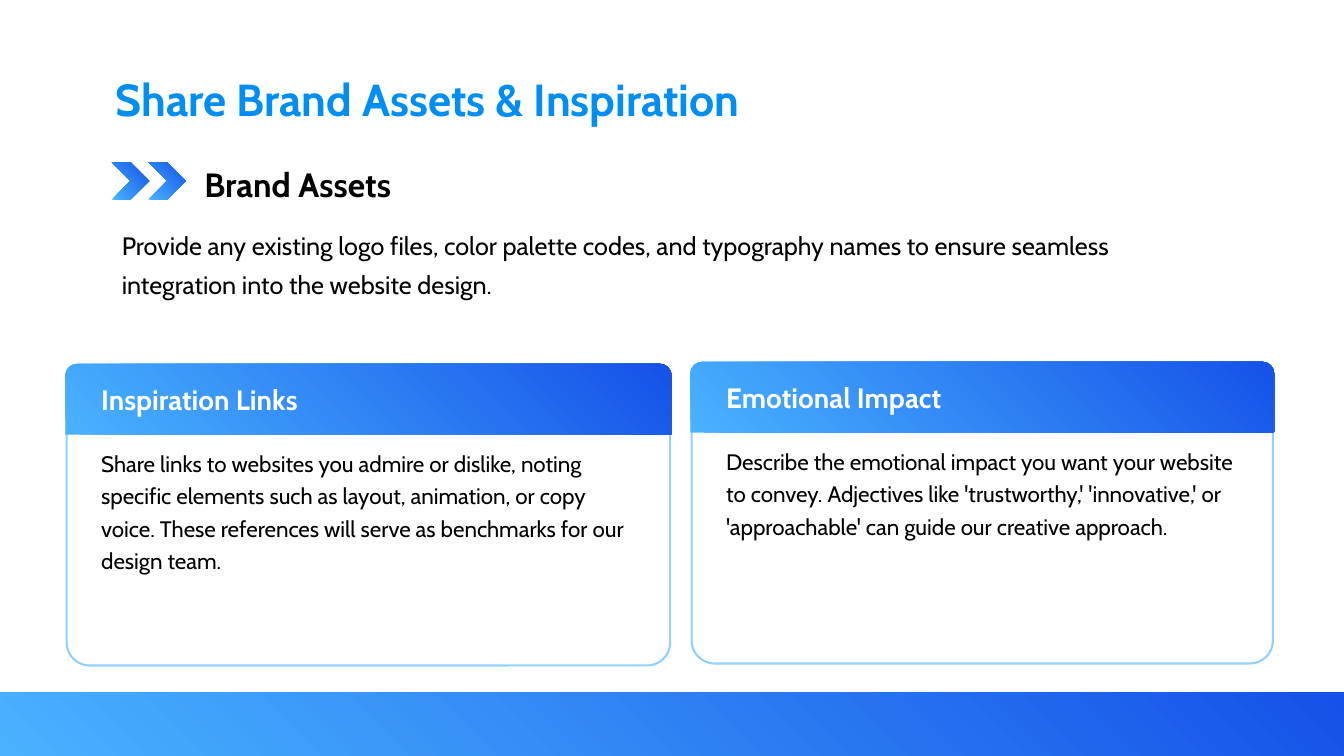
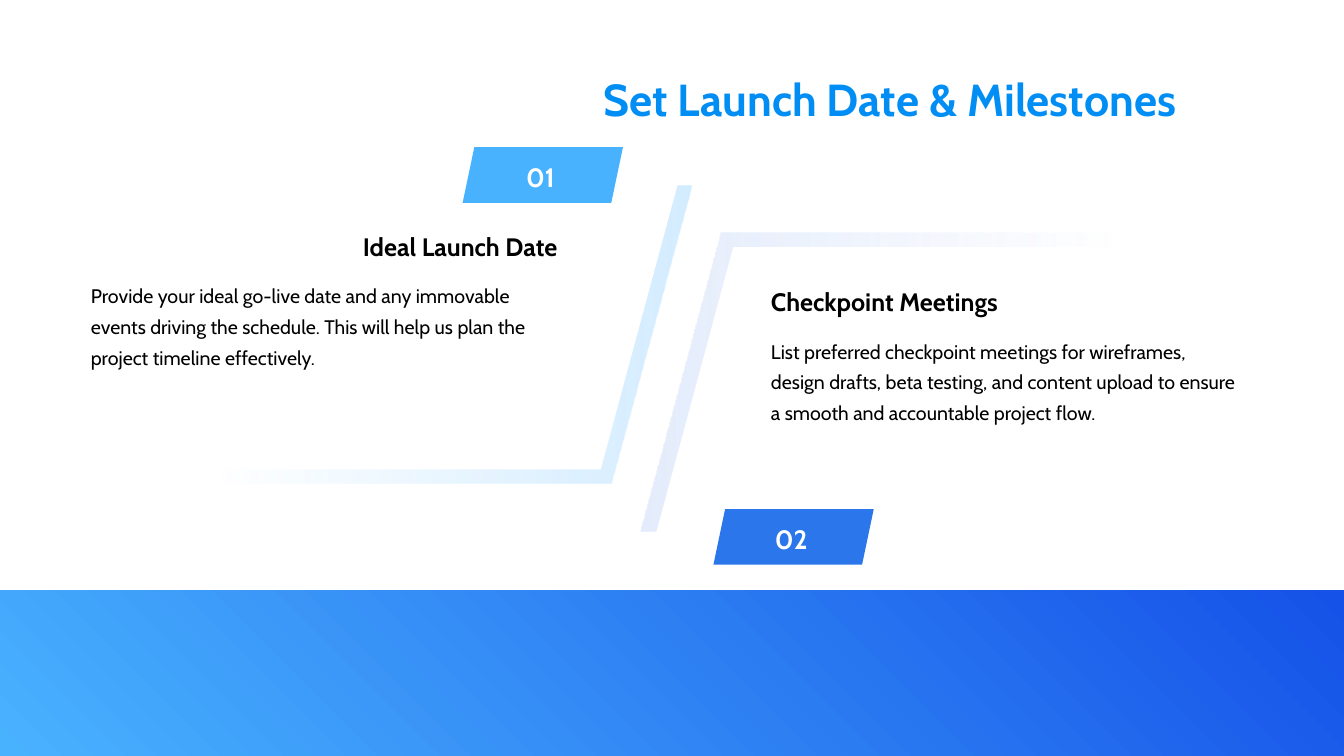
from lxml import etree
from pptx import Presentation
from pptx.dml.color import RGBColor
from pptx.enum.shapes import MSO_SHAPE
from pptx.enum.text import MSO_ANCHOR, MSO_AUTO_SIZE, PP_ALIGN
from pptx.oxml.ns import qn
from pptx.util import Cm, Pt

RECTANGLE, CHEVRON = MSO_SHAPE.RECTANGLE, MSO_SHAPE.CHEVRON
ROUNDED, TOP_ROUNDED = MSO_SHAPE.ROUNDED_RECTANGLE, MSO_SHAPE.ROUND_2_SAME_RECTANGLE
PARALLELOGRAM = MSO_SHAPE.PARALLELOGRAM
LEFT, RIGHT, CENTER, JUSTIFY = PP_ALIGN.LEFT, PP_ALIGN.RIGHT, PP_ALIGN.CENTER, PP_ALIGN.JUSTIFY
TOP, MIDDLE = MSO_ANCHOR.TOP, MSO_ANCHOR.MIDDLE

FONT = "Cabin"
WHITE = RGBColor(0xFF, 0xFF, 0xFF)
BLACK = RGBColor(0x00, 0x00, 0x00)
TITLE_BLUE = RGBColor(0x01, 0x8E, 0xF4)
SKY = RGBColor(0x49, 0xB2, 0xFE)
ROYAL = RGBColor(0x15, 0x52, 0xE8)
MID_BLUE = RGBColor(0x2A, 0x76, 0xEA)
PALE_SKY = RGBColor(0x92, 0xD1, 0xFE)
PALE_ROYAL = RGBColor(0xBC, 0xD0, 0xF7)

# Centimetres
SLIDE_WIDTH, SLIDE_HEIGHT = 33.87, 19.05
DEFAULT_INSETS = (0.25, 0.13, 0.25, 0.13)
NO_INSETS = (0, 0, 0, 0)


# Shared building blocks; every box is (left, top, width, height) in cm
def place(shape, box):
    shape.left, shape.top, shape.width, shape.height = map(Cm, box)


def write(shape, text, size, color=BLACK, bold=False, align=LEFT, spacing=1.0,
          insets=DEFAULT_INSETS, anchor=TOP):
    frame = shape.text_frame
    frame.word_wrap = True
    frame.auto_size = MSO_AUTO_SIZE.NONE
    frame.vertical_anchor = anchor
    (frame.margin_left, frame.margin_top,
     frame.margin_right, frame.margin_bottom) = map(Cm, insets)
    paragraph = frame.paragraphs[0]
    paragraph.alignment = align
    paragraph.line_spacing = spacing
    run = paragraph.add_run()
    run.text = text
    run.font.name = FONT
    run.font.size = Pt(size)
    run.font.bold = bold
    run.font.color.rgb = color


def add_text(slide, box, text, size, **style):
    write(slide.shapes.add_textbox(*map(Cm, box)), text, size, **style)


def add_figure(slide, kind, box, color=None, adjustment=None):
    shape = slide.shapes.add_shape(kind, *map(Cm, box))
    shape.shadow.inherit = False
    shape.line.fill.background()
    if color is not None:
        shape.fill.solid()
        shape.fill.fore_color.rgb = color
    if adjustment is not None:
        shape.adjustments[0] = adjustment
    return shape


def apply_gradient(shape, stops, angle):
    """Stops are (position, colour, opacity in percent)."""
    shape.fill.gradient()
    shape.fill.gradient_angle = angle
    for stop, (position, color, _) in zip(shape.fill.gradient_stops, stops):
        stop.position = position
        stop.color.rgb = color
    colors = shape._element.spPr.iter(qn("a:srgbClr"))
    for element, (_, _, opacity) in zip(colors, stops):
        if opacity < 100:
            etree.SubElement(element, qn("a:alpha"), val=str(opacity * 1000))


def add_blue_figure(slide, kind, box):
    shape = add_figure(slide, kind, box)
    apply_gradient(shape, [(0, SKY, 100), (1, ROYAL, 100)], 45)


def add_base_slide(presentation, title, band_height, align=LEFT):
    slide = presentation.slides.add_slide(presentation.slide_layouts[5])
    place(slide.shapes.title, (2.67, 1.68, 27.23, 1.63))
    write(slide.shapes.title, title, 32, color=TITLE_BLUE, bold=True, align=align)
    add_blue_figure(slide, RECTANGLE,
                    (0, SLIDE_HEIGHT - band_height, SLIDE_WIDTH, band_height))
    return slide


# Assets slide
def add_intro(slide, box, heading, body):
    left, top, width, height = box
    for index in range(2):
        add_blue_figure(slide, CHEVRON, (left + index * 0.92, top + 0.08, 0.94, 0.94))
    add_text(slide, (left + 2.08, top, width - 2.9, 1.02), heading, 24,
             bold=True, align=JUSTIFY)
    add_text(slide, (left, top + 1.43, width, height - 1.43), body, 18, spacing=1.3)


def add_card(slide, box, heading, body):
    left, top, width, height = box
    outline = add_figure(slide, ROUNDED,
                         (left + 0.03, top + 0.04, width - 0.06, height - 0.04),
                         WHITE, 0.077)
    outline.line.color.rgb = PALE_SKY
    outline.line.width = Pt(1.5)
    add_blue_figure(slide, TOP_ROUNDED, (left, top, width, 1.78))
    text_left, text_width = left + 0.65, width - 1.3
    add_text(slide, (text_left, top + 0.34, text_width, 0.86), heading, 20,
             color=WHITE, bold=True)
    add_text(slide, (text_left, top + 1.91, text_width, 3.25), body, 16, spacing=1.2)


def build_assets_slide(presentation):
    slide = add_base_slide(presentation, "Share Brand Assets & Inspiration", 1.6)
    add_intro(slide, (2.82, 4.01, 27.2, 3.41), "Brand Assets",
              "Provide any existing logo files, color palette codes, and typography "
              "names to ensure seamless integration into the website design.")
    add_card(slide, (1.65, 9.17, 15.27, 7.6), "Inspiration Links",
             "Share links to websites you admire or dislike, noting specific elements "
             "such as layout, animation, or copy voice. These references will serve as "
             "benchmarks for our design team.")
    add_card(slide, (17.4, 9.12, 14.71, 7.6), "Emotional Impact",
             "Describe the emotional impact you want your website to convey. "
             "Adjectives like 'trustworthy,' 'innovative,' or 'approachable' can "
             "guide our creative approach.")


# Milestones slide
def add_milestone(slide, box, number, heading, body, edge_color, tag_color, angle,
                  cover_offset, tag_offset, text_offset, heading_align):
    left, top, width, height = box

    # Fading edge: a gradient slab mostly hidden by a shifted white one
    slab = add_figure(slide, PARALLELOGRAM, box, adjustment=0.27)
    apply_gradient(slab, [(0.2, edge_color, 0), (1, edge_color, 40)], angle)
    add_figure(slide, PARALLELOGRAM,
               (left + cover_offset[0], top + cover_offset[1], width, height), WHITE, 0.27)

    # Number tag
    tag = add_figure(slide, PARALLELOGRAM,
                     (left + tag_offset[0], top + tag_offset[1], 4.04, 1.4),
                     tag_color, 0.21)
    write(tag, number, 19, color=WHITE, bold=True, align=CENTER,
          insets=(0.13, 0.25, 0.25, 0.13), anchor=MIDDLE)

    # Heading and body
    text_left, text_top = left + text_offset[0], top + text_offset[1]
    add_text(slide, (text_left, text_top, 11.76, 1.02), heading, 18, bold=True,
             align=heading_align, insets=NO_INSETS)
    add_text(slide, (text_left, text_top + 1.17, 11.76, 3.8), body, 14,
             spacing=1.3, insets=NO_INSETS)


def build_milestones_slide(presentation):
    slide = add_base_slide(presentation, "Set Launch Date & Milestones", 4.17, RIGHT)
    add_milestone(
        slide, (16.15, 5.87, 14.88, 7.52), "02", "Checkpoint Meetings",
        "List preferred checkpoint meetings for wireframes, design drafts, beta "
        "testing, and content upload to ensure a smooth and accountable project flow.",
        PALE_ROYAL, MID_BLUE, angle=180, cover_offset=(0.3, 0.36),
        tag_offset=(1.83, 6.96), text_offset=(3.28, 1.34), heading_align=LEFT)
    add_milestone(
        slide, (2.54, 4.67, 14.88, 7.52), "01", "Ideal Launch Date",
        "Provide your ideal go-live date and any immovable events driving the "
        "schedule. This will help us plan the project timeline effectively.",
        PALE_SKY, SKY, angle=0, cover_offset=(-0.25, -0.36),
        tag_offset=(9.12, -0.96), text_offset=(-0.25, 1.15), heading_align=RIGHT)


def main():
    presentation = Presentation()
    presentation.slide_width = Cm(SLIDE_WIDTH)
    presentation.slide_height = Cm(SLIDE_HEIGHT)
    build_assets_slide(presentation)
    build_milestones_slide(presentation)
    presentation.save("out.pptx")


if __name__ == "__main__":
    main()
